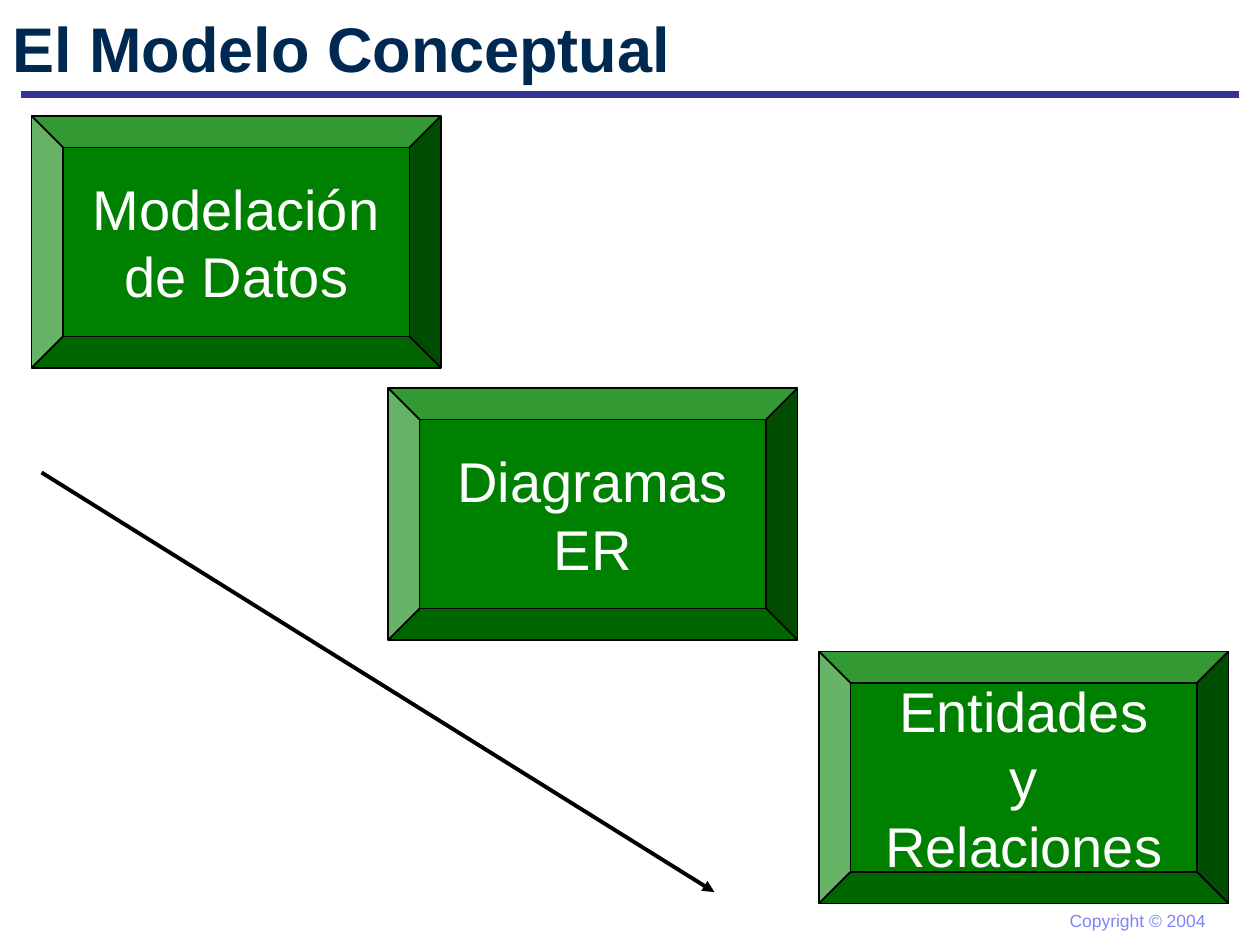
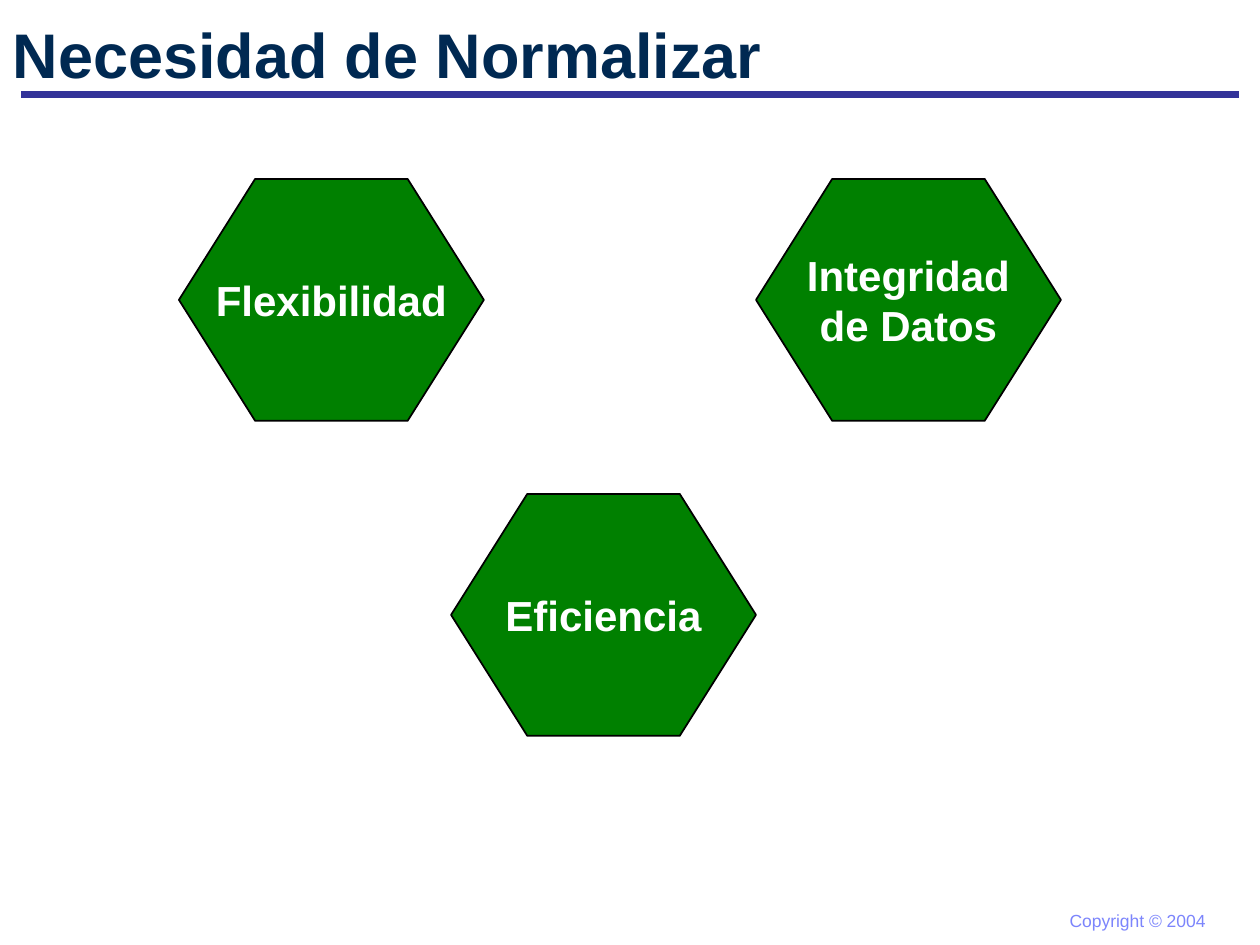
from dataclasses import dataclass

from lxml import etree
from pptx import Presentation
from pptx.dml.color import RGBColor
from pptx.enum.shapes import MSO_CONNECTOR, MSO_SHAPE
from pptx.enum.text import MSO_ANCHOR, MSO_AUTO_SIZE, PP_ALIGN
from pptx.oxml.ns import qn
from pptx.util import Inches, Pt

BEVEL, HEXAGON = MSO_SHAPE.BEVEL, MSO_SHAPE.HEXAGON
STRAIGHT = MSO_CONNECTOR.STRAIGHT
LEFT, CENTER = PP_ALIGN.LEFT, PP_ALIGN.CENTER
TOP, MIDDLE = MSO_ANCHOR.TOP, MSO_ANCHOR.MIDDLE
NO_FIT, GROW = MSO_AUTO_SIZE.NONE, MSO_AUTO_SIZE.SHAPE_TO_FIT_TEXT


@dataclass(frozen=True)
class Theme:
    font: str = "Arial"
    title: str = "002952"
    rule: str = "333399"
    footer: str = "7C85FC"
    fill: str = "008000"
    outline: str = "000000"
    label: str = "FFFFFF"
    title_pt: int = 36
    step_pt: int = 32
    need_pt: int = 24
    footer_pt: int = 10


def rgb(color):
    return RGBColor.from_string(color)


def write(tf, text, *, font, size, color, bold=False, align=LEFT,
          anchor=TOP, wrap=False, fit=NO_FIT):
    """Fill a text frame, one paragraph per line of text."""
    tf.auto_size = fit
    tf.word_wrap = wrap
    tf.vertical_anchor = anchor
    for i, line in enumerate(text.split("\n")):
        p = tf.paragraphs[0] if i == 0 else tf.add_paragraph()
        p.alignment = align
        r = p.add_run()
        r.text = line
        r.font.name = font
        r.font.size = Pt(size)
        r.font.bold = bold
        r.font.color.rgb = rgb(color)


class Deck:
    def __init__(self, theme):
        self.theme = theme
        self.prs = Presentation()
        self.prs.slide_width, self.prs.slide_height = Inches(10), Inches(7.5)
        self.s = None

    def slide(self, title, top, height):
        """Start a slide with its title, rule and footer."""
        t = self.theme
        self.s = self.prs.slides.add_slide(self.prs.slide_layouts[5])
        self.line(0.17, 0.75, 9.83, 0.75, t.rule, 4.5)
        tb = self.s.shapes.add_textbox(Inches(8.39), Inches(7.17),
                                       Inches(1.28), Inches(0.27))
        write(tb.text_frame, "Copyright © 2004", font=t.font,
              size=t.footer_pt, color=t.footer, fit=GROW)
        sp = self.s.shapes.title
        sp.left, sp.top = Inches(0), Inches(top)
        sp.width, sp.height = Inches(8.5), Inches(height)
        write(sp.text_frame, title, font=t.font, size=t.title_pt,
              color=t.title, bold=True, anchor=MIDDLE, wrap=True)

    def line(self, x1, y1, x2, y2, color, width, arrow=False):
        cx = self.s.shapes.add_connector(STRAIGHT, Inches(x1), Inches(y1),
                                         Inches(x2), Inches(y2))
        cx.line.color.rgb = rgb(color)
        cx.line.width = Pt(width)
        if arrow:
            etree.SubElement(cx.line._get_or_add_ln(), qn("a:tailEnd"),
                             type="triangle")
        etree.SubElement(cx._element.spPr, qn("a:effectLst"))

    def block(self, kind, text, x, y, w, h, adj, size, bold=False):
        t = self.theme
        sp = self.s.shapes.add_shape(kind, Inches(x), Inches(y),
                                     Inches(w), Inches(h))
        sp.adjustments[0] = adj
        sp.shadow.inherit = False
        sp.fill.solid()
        sp.fill.fore_color.rgb = rgb(t.fill)
        sp.line.color.rgb = rgb(t.outline)
        sp.line.width = Pt(1)
        write(sp.text_frame, text, font=t.font, size=size, color=t.label,
              bold=bold, align=CENTER, anchor=MIDDLE)


def main():
    theme = Theme()
    deck = Deck(theme)

    # Steps of the conceptual model, going down to the right
    deck.slide("El Modelo Conceptual", 0, 0.75)
    for text, x, y in (("Modelación\nde Datos", 0.25, 0.92),
                       ("Diagramas\nER", 3.08, 3.08),
                       ("Entidades\ny\nRelaciones", 6.5, 5.17)):
        deck.block(BEVEL, text, x, y, 3.25, 2, 0.125, theme.step_pt)
    deck.line(0.33, 3.75, 5.67, 7.08, theme.outline, 2.25, arrow=True)

    # Reasons to normalise
    deck.slide("Necesidad de Normalizar", 0.17, 0.5)
    for text, x, y in (("Flexibilidad", 1.42, 1.42),
                       ("Integridad\nde Datos", 6, 1.42),
                       ("Eficiencia", 3.58, 3.92)):
        deck.block(HEXAGON, text, x, y, 2.42, 1.92, 0.315, theme.need_pt,
                   bold=True)

    deck.prs.save("out.pptx")


if __name__ == "__main__":
    main()
